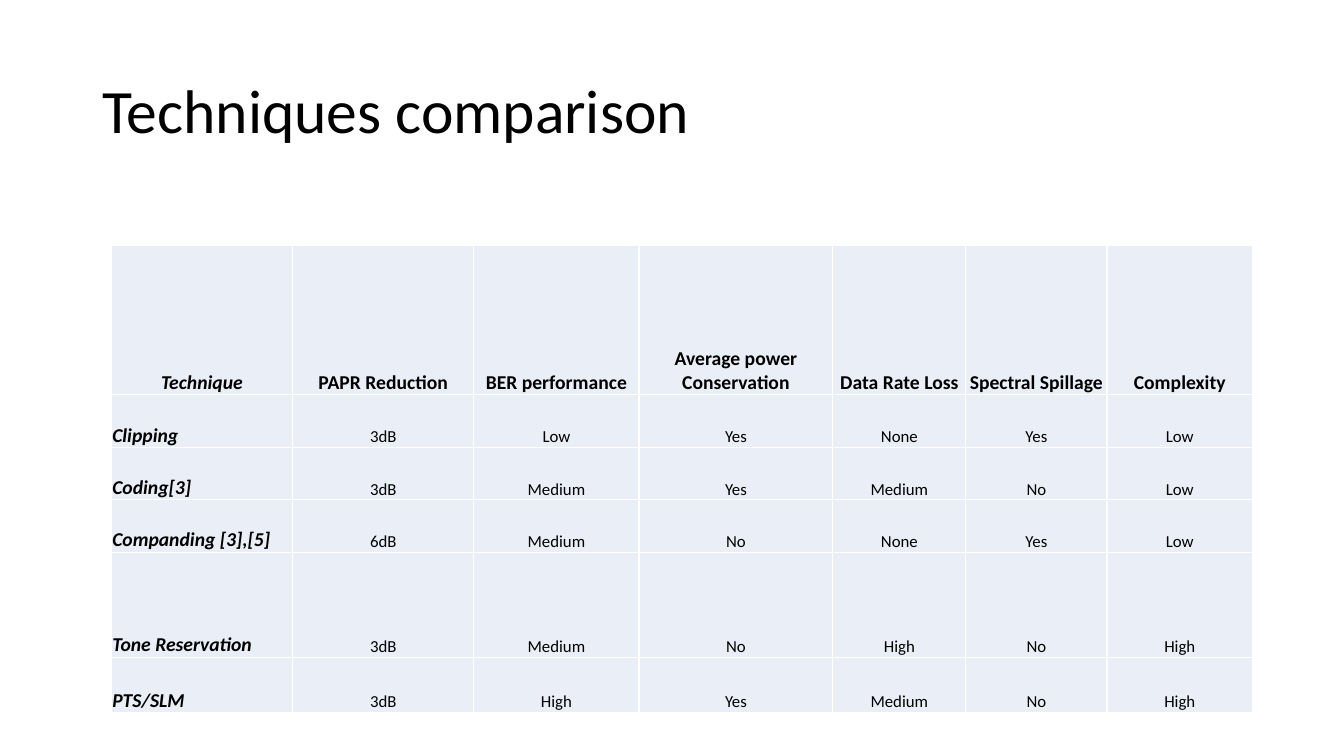
from lxml.etree import SubElement
from pptx import Presentation
from pptx.dml.color import RGBColor
from pptx.enum.text import MSO_ANCHOR, PP_ALIGN
from pptx.oxml.ns import qn
from pptx.util import Pt

COLORS = {"text": "000000", "cell": "EAEFF7", "border": "FFFFFF"}
COLUMN_WIDTHS = [129.5, 129.5, 118, 138.5, 95, 100.8, 104]
ROW_HEIGHTS = [107, 37.5, 37.5, 37.5, 75, 39.5]
COMPARISON = [
    ["Technique", "PAPR Reduction", "BER performance", "Average power Conservation",
     "Data Rate Loss", "Spectral Spillage", "Complexity"],
    ["Clipping", "3dB", "Low", "Yes", "None", "Yes", "Low"],
    ["Coding[3]", "3dB", "Medium", "Yes", "Medium", "No", "Low"],
    ["Companding [3],[5]", "6dB", "Medium", "No", "None", "Yes", "Low"],
    ["Tone Reservation", "3dB", "Medium", "No", "High", "No", "High"],
    ["PTS/SLM", "3dB", "High", "Yes", "Medium", "No", "High"],
]


def set_values(target, values):
    for name, value in values.items():
        setattr(target, name, value)


class SlideBuilder:
    def __init__(self, page, font):
        self.page = page
        self.font = font

    def add_text(self, frame, text, size, align, bold=False, italic=False, spacing=1.0):
        para = frame.paragraphs[0]
        set_values(para, {"alignment": align, "line_spacing": spacing})
        span = para.add_run()
        span.text = text
        set_values(span.font, {"name": self.font, "size": Pt(size),
                               "bold": bold, "italic": italic})
        span.font.color.rgb = RGBColor.from_string(COLORS["text"])

    def add_title(self, text, left, top, width, height):
        box = self.page.shapes.add_textbox(Pt(left), Pt(top), Pt(width), Pt(height))
        set_values(box.text_frame, {"word_wrap": True,
                                    "vertical_anchor": MSO_ANCHOR.MIDDLE})
        self.add_text(box.text_frame, text, 44, PP_ALIGN.LEFT, spacing=0.9)

    def add_grid(self, rows, widths, heights, left, top):
        """Draw a table whose first row and first column are headings."""
        frame = self.page.shapes.add_table(len(rows), len(widths), Pt(left), Pt(top),
                                           Pt(sum(widths)), Pt(sum(heights)))
        table = frame.table
        set_values(table, {"first_row": False, "horz_banding": False})
        for column, width in zip(table.columns, widths):
            column.width = Pt(width)
        for row, height in zip(table.rows, heights):
            row.height = Pt(height)
        for r, texts in enumerate(rows):
            for c, text in enumerate(texts):
                heading = r == 0 or c == 0
                align = PP_ALIGN.LEFT if r and c == 0 else PP_ALIGN.CENTER
                cell = table.cell(r, c)
                self.style_cell(cell)
                self.add_text(cell.text_frame, text, 14 if heading else 12, align,
                              bold=heading, italic=c == 0)

    def style_cell(self, cell):
        set_values(cell, {"margin_left": Pt(0.7), "margin_right": Pt(0.7),
                          "margin_top": Pt(0.7), "margin_bottom": 0,
                          "vertical_anchor": MSO_ANCHOR.BOTTOM})
        properties = cell._tc.get_or_add_tcPr()
        for side in ("a:lnL", "a:lnR", "a:lnT", "a:lnB"):
            line = SubElement(properties, qn(side), w=str(Pt(1)))
            fill = SubElement(line, qn("a:solidFill"))
            SubElement(fill, qn("a:srgbClr"), val=COLORS["border"])
        cell.fill.solid()
        cell.fill.fore_color.rgb = RGBColor.from_string(COLORS["cell"])


def main():
    deck = Presentation()
    set_values(deck, {"slide_width": Pt(960), "slide_height": Pt(540)})
    page = deck.slides.add_slide(deck.slide_layouts[6])
    builder = SlideBuilder(page, "Calibri")
    builder.add_title("Techniques comparison", 66, 28.8, 828, 104.4)
    builder.add_grid(COMPARISON, COLUMN_WIDTHS, ROW_HEIGHTS, 79.5, 175)
    deck.save("out.pptx")


if __name__ == "__main__":
    main()
